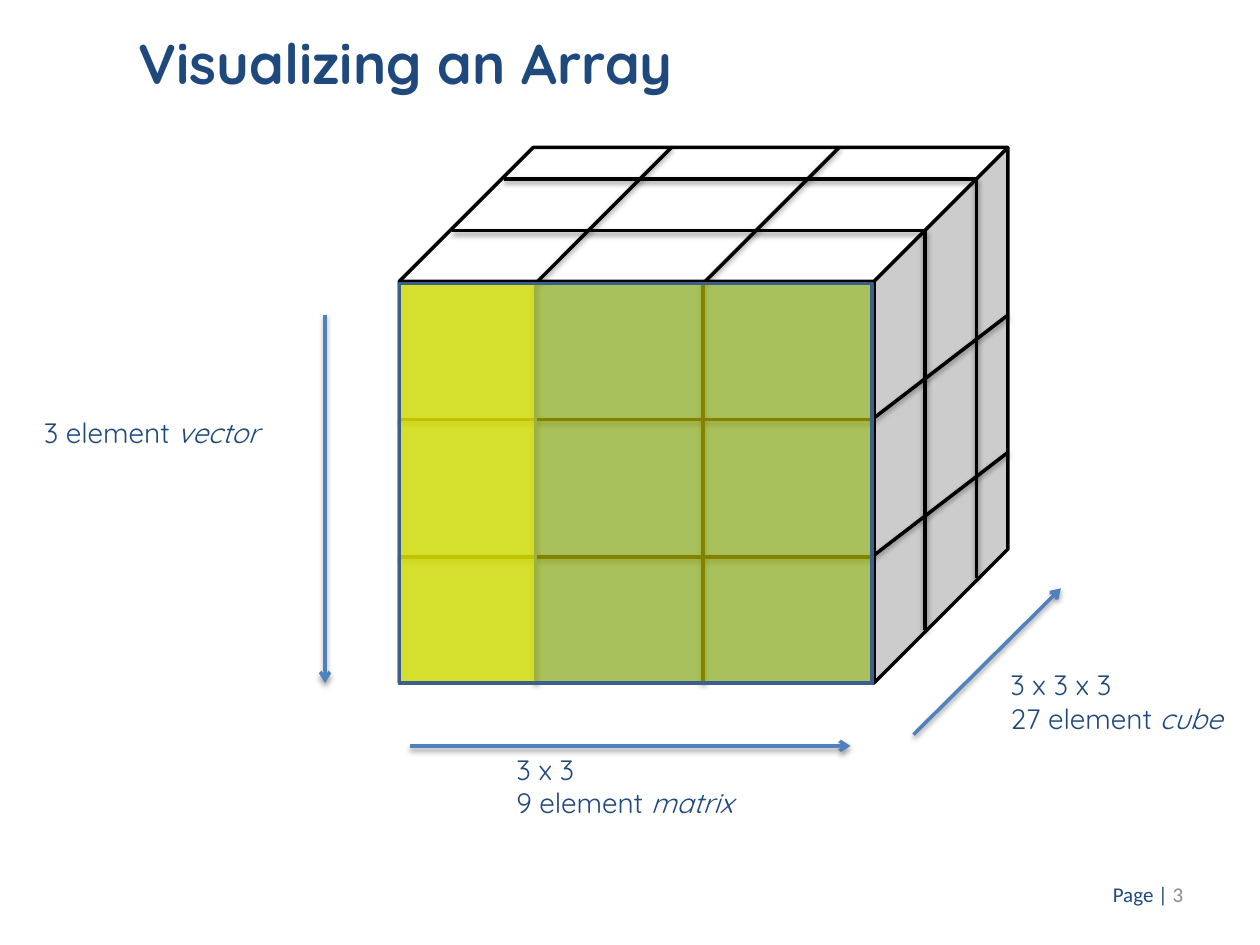
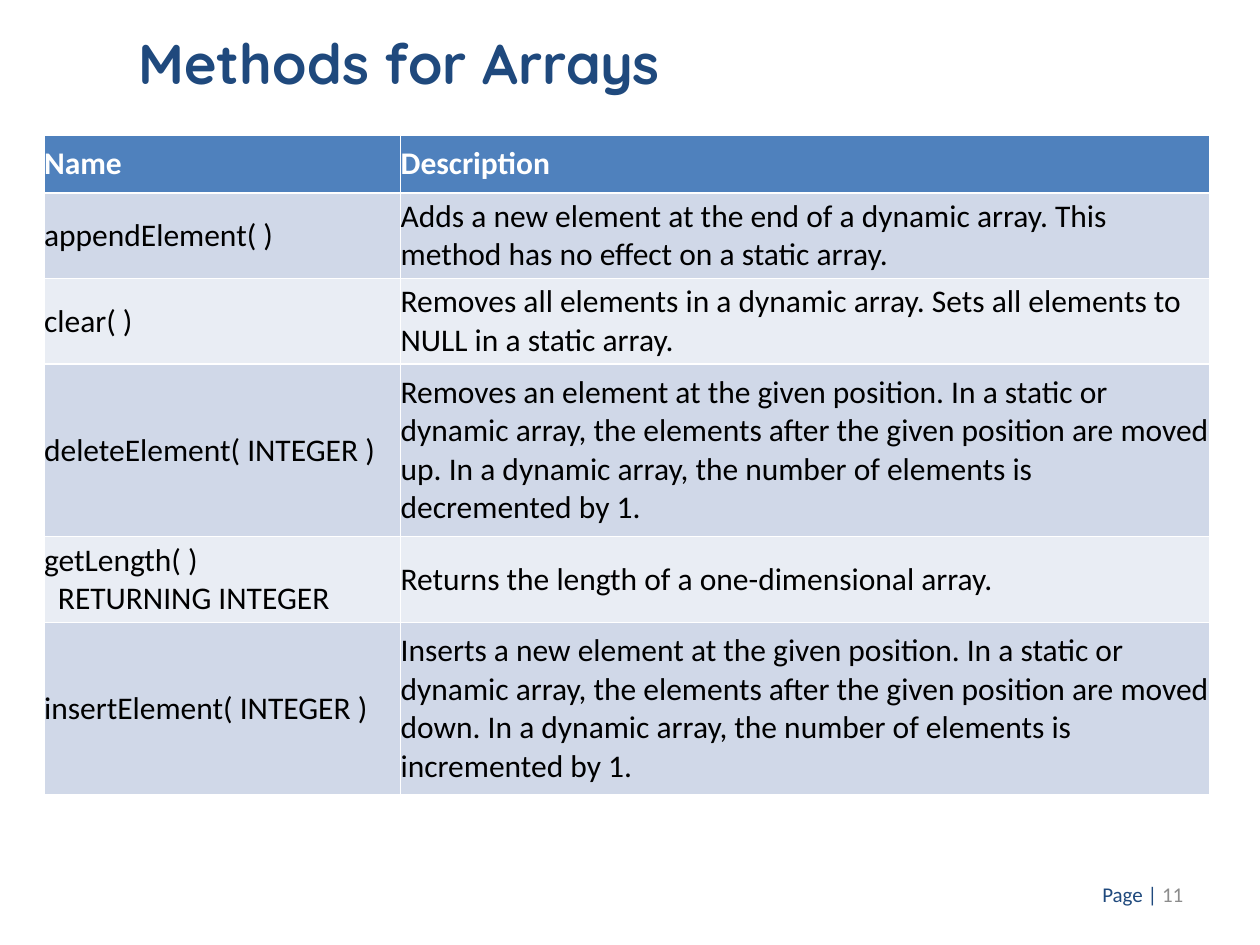
from dataclasses import dataclass

from lxml.etree import SubElement
from pptx import Presentation
from pptx.dml.color import RGBColor
from pptx.enum.shapes import MSO_CONNECTOR, MSO_SHAPE
from pptx.enum.text import MSO_ANCHOR, MSO_AUTO_SIZE, PP_ALIGN
from pptx.oxml.ns import qn
from pptx.util import Inches, Pt


@dataclass(frozen=True)
class Theme:
    navy: str = "1F497D"
    blue: str = "4F81BD"
    outline: str = "3A5F8C"
    yellow: str = "FFFF00"
    white: str = "FFFFFF"
    black: str = "000000"
    page_grey: str = "8C8C8C"
    bands: tuple = ("D0D8E8", "E9EDF4")
    heading_font: str = "Quicksand"
    body_font: str = "Calibri"
    title_size: int = 32
    table_size: int = 18
    label_size: int = 16
    footer_size: int = 12
    line_width: int = 2


class Deck:
    """Holds the theme and the slide being built."""

    def __init__(self, theme):
        self.theme = theme
        self.prs = Presentation()
        self.prs.slide_width, self.prs.slide_height = Inches(10), Inches(7.5)
        self.slide = None

    def style(self, font, name, size, color, bold=None):
        font.name, font.size, font.bold = name, Pt(size), bold
        font.color.rgb = RGBColor.from_string(color)

    def new_slide(self, title, title_width, page):
        t = self.theme
        self.slide = self.prs.slides.add_slide(self.prs.slide_layouts[5])
        heading = self.slide.shapes.title
        heading.left, heading.top = Inches(1), Inches(0.18)
        heading.width, heading.height = Inches(title_width), Inches(0.9)
        frame = heading.text_frame
        frame.text = title
        frame.auto_size = MSO_AUTO_SIZE.NONE
        frame.vertical_anchor = MSO_ANCHOR.TOP
        frame.paragraphs[0].alignment = PP_ALIGN.LEFT
        self.style(frame.paragraphs[0].font, t.heading_font, t.title_size, t.navy, True)
        self.footer(page)

    def text_frame(self, left, top, width, height, wrap=True):
        box = self.slide.shapes.add_textbox(
            Inches(left), Inches(top), Inches(width), Inches(height))
        box.text_frame.word_wrap = wrap
        return box.text_frame

    def footer(self, page):
        t = self.theme
        frame = self.text_frame(7.16, 6.9, 2.33, 0.4)
        frame.vertical_anchor = MSO_ANCHOR.MIDDLE
        line = frame.paragraphs[0]
        line.alignment = PP_ALIGN.RIGHT
        for text, color in (("Page | ", t.navy), (str(page), t.page_grey)):
            run = line.add_run()
            run.text = text
            self.style(run.font, t.body_font, t.footer_size, color)

    def label(self, left, top, width, height, lines, term, wrap=True):
        """Lines of text, the last one ending in an italic term."""
        t = self.theme
        frame = self.text_frame(left, top, width, height, wrap)
        frame.auto_size = MSO_AUTO_SIZE.SHAPE_TO_FIT_TEXT
        for i, text in enumerate(lines):
            line = frame.paragraphs[0] if i == 0 else frame.add_paragraph()
            line.add_run().text = text
            self.style(line.font, t.heading_font, t.label_size, t.navy)
        italic = line.add_run()
        italic.text = term
        italic.font.italic = True

    def block(self, kind, left, top, width, height, fill, line, alpha=None):
        shape = self.slide.shapes.add_shape(
            kind, Inches(left), Inches(top), Inches(width), Inches(height))
        shape.shadow.inherit = False
        shape.fill.solid()
        shape.fill.fore_color.rgb = RGBColor.from_string(fill)
        shape.line.color.rgb = RGBColor.from_string(line)
        shape.line.width = Pt(self.theme.line_width)
        if alpha:
            color = shape._element.spPr.find(qn("a:solidFill")).find(qn("a:srgbClr"))
            SubElement(color, qn("a:alpha"), val=str(alpha * 1000))

    def line(self, start, end, color, arrow=False):
        connector = self.slide.shapes.add_connector(
            MSO_CONNECTOR.STRAIGHT, *(Inches(v) for v in (*start, *end)))
        connector.line.color.rgb = RGBColor.from_string(color)
        connector.line.width = Pt(self.theme.line_width)
        props = connector._element.spPr
        if arrow:
            SubElement(props.find(qn("a:ln")), qn("a:tailEnd"), type="arrow")
        # Soft shadow straight below the line
        effects = SubElement(props, qn("a:effectLst"))
        shadow = SubElement(effects, qn("a:outerShdw"), blurRad=str(Pt(3.1)),
                            dist=str(Pt(1.6)), dir="5400000", rotWithShape="0")
        shade = SubElement(shadow, qn("a:srgbClr"), val=self.theme.black)
        SubElement(shade, qn("a:alpha"), val="38000")

    def cell(self, cell, text, fill, color, bold):
        t = self.theme
        cell.text = text
        cell.vertical_anchor = MSO_ANCHOR.MIDDLE
        cell.margin_left = cell.margin_right = cell.margin_top = cell.margin_bottom = 0
        for i, line in enumerate(cell.text_frame.paragraphs):
            self.style(line.font, t.body_font, t.table_size, color, bold)
            if i:  # continuation lines are indented
                line._p.get_or_add_pPr().set("marL", str(Inches(0.11)))
        props = cell._tc.get_or_add_tcPr()
        for side in ("lnL", "lnR", "lnT", "lnB"):
            border = SubElement(props, qn(f"a:{side}"), w=str(Pt(1)))
            SubElement(SubElement(border, qn("a:solidFill")), qn("a:srgbClr"), val=t.white)
        cell.fill.solid()
        cell.fill.fore_color.rgb = RGBColor.from_string(fill)

    def table(self, left, top, widths, heights, rows):
        t = self.theme
        table = self.slide.shapes.add_table(
            len(rows), len(widths), Inches(left), Inches(top),
            Inches(sum(widths)), Inches(sum(heights))).table
        for column, width in zip(table.columns, widths):
            column.width = Inches(width)
        for r, (height, texts) in enumerate(zip(heights, rows)):
            table.rows[r].height = Inches(height)
            header = r == 0
            fill = t.blue if header else t.bands[(r - 1) % 2]
            for c, text in enumerate(texts):
                self.cell(table.cell(r, c), text, fill,
                          t.white if header else t.black, header)


def array_slide(deck):
    t = deck.theme
    deck.new_slide("Visualizing an Array", 6.92, 3)

    # Cube with its front face
    left, top, right, bottom = 3.17, 2.25, 6.92, 5.42
    depth = 1.08
    width, height = right - left, bottom - top
    columns, rows, layers = (4.25, 5.58), (3.33, 4.42), (0.83, 0.42)
    deck.block(MSO_SHAPE.CUBE, left, top - depth, width + depth, height + depth,
               t.white, t.black)
    deck.block(MSO_SHAPE.RECTANGLE, left, top, width, height, t.blue, t.outline)

    # Grid lines: front, right side, then top
    for y in rows:
        deck.line((left, y), (right, y), t.black)
    for x in columns:
        deck.line((x, top), (x, bottom), t.black)
    for y in rows:
        deck.line((right, y), (right + depth, y - 0.83), t.black)
    for d in layers:
        deck.line((right + d, top - d), (right + d, bottom - d), t.black)
    for d in layers:
        deck.line((left + d, top - d), (right + d, top - d), t.black)
    for x in columns:
        deck.line((x + depth, top - depth), (x, top), t.black)

    # Highlights: the vector, then the whole matrix
    for highlight_width in (columns[0] - left, width):
        deck.block(MSO_SHAPE.RECTANGLE, left, top, highlight_width, height,
                   t.yellow, t.outline, alpha=51)

    # One arrow and label per dimension
    deck.line((2.58, 2.5), (2.58, bottom), t.blue, arrow=True)
    deck.label(0.25, 3.25, 2.06, 0.37, ["3 element "], "vector", wrap=False)
    deck.line((3.25, 5.92), (6.75, 5.92), t.blue, arrow=True)
    deck.label(4, 5.92, 2.42, 0.64, ["3 x 3", "9 element "], "matrix")
    deck.line((7.25, 5.83), (8.42, 4.67), t.blue, arrow=True)
    deck.label(7.92, 5.25, 2.08, 0.64, ["3 x 3 x 3", "27 element "], "cube")


def methods_slide(deck):
    deck.new_slide("Methods for Arrays", 7.7, 11)
    moved = ("{} at the given position. In a static or dynamic array, the elements "
             "after the given position are moved {}. In a dynamic array, the number "
             "of elements is {} by 1.")
    methods = [
        ("Name", "Description"),
        ("appendElement( )", "Adds a new element at the end of a dynamic array. "
                             "This method has no effect on a static array."),
        ("clear( )", "Removes all elements in a dynamic array. "
                     "Sets all elements to NULL in a static array."),
        ("deleteElement( INTEGER )",
         moved.format("Removes an element", "up", "decremented")),
        ("getLength( )\nRETURNING INTEGER",
         "Returns the length of a one-dimensional array."),
        ("insertElement( INTEGER )",
         moved.format("Inserts a new element", "down", "incremented")),
    ]
    deck.table(0.35, 1.07, (2.83, 6.42), (0.46, 0.68, 0.68, 1.37, 0.68, 1.37), methods)


def main():
    deck = Deck(Theme())
    array_slide(deck)
    methods_slide(deck)
    deck.prs.save("out.pptx")


if __name__ == "__main__":
    main()
